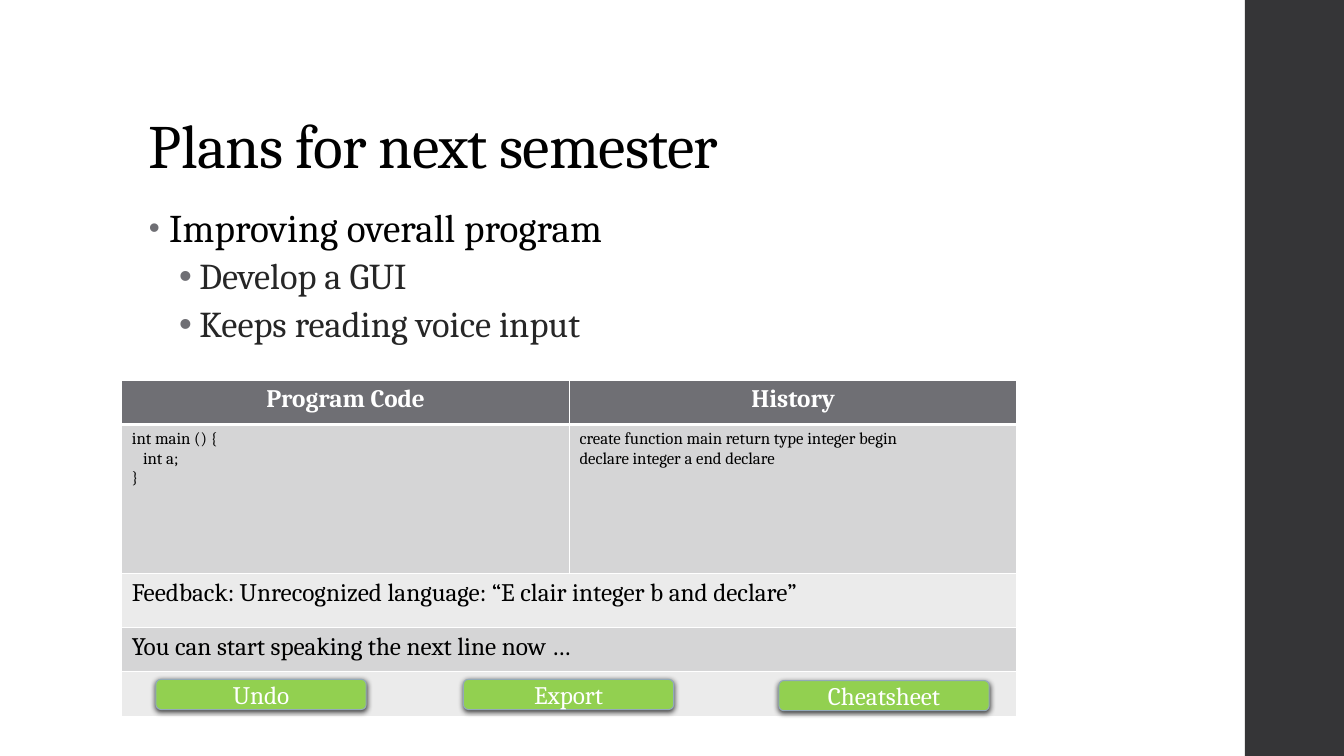
from lxml import etree
from pptx import Presentation
from pptx.dml.color import RGBColor
from pptx.enum.shapes import MSO_SHAPE
from pptx.enum.text import MSO_ANCHOR, MSO_AUTO_SIZE, PP_ALIGN
from pptx.oxml.ns import qn
from pptx.util import Cm, Pt

LEFT, CENTER = PP_ALIGN.LEFT, PP_ALIGN.CENTER
TOP, MIDDLE, BOTTOM = MSO_ANCHOR.TOP, MSO_ANCHOR.MIDDLE, MSO_ANCHOR.BOTTOM
NO_AUTOFIT = MSO_AUTO_SIZE.NONE
RECTANGLE, ROUNDED = MSO_SHAPE.RECTANGLE, MSO_SHAPE.ROUNDED_RECTANGLE

FONT = "Cambria"
COLORS = {
    "black": "000000", "white": "FFFFFF", "subtext": "262626",
    "sidebar": "353537", "header": "6F6F74", "dark_band": "D5D5D6",
    "light_band": "EBEBEB", "button": "92D050", "button_edge": "92A9B9",
}
GOALS = [
    ("Improving overall program", 0),
    ("Develop a GUI", 1),
    ("Keeps reading voice input", 1),
]
GOAL_FORMATS = [
    {"size": 28, "color": "black", "spacing": 10, "indent": 0.51, "bullet_size": 80,
     "paragraph": {"line_spacing": 0.95, "space_before": Pt(14), "space_after": Pt(2)}},
    {"size": 26, "color": "subtext", "spacing": 0, "indent": 1.27, "bullet_size": 100,
     "paragraph": {"line_spacing": 0.9, "space_before": Pt(3), "space_after": Pt(3)}},
]
HANGING = 0.51
CODE = [("int main () {", 0), ("int a;", 0.28), ("}", 0)]
HISTORY = [("create function main return type integer begin", 0),
           ("declare integer a end declare", 0)]
FEEDBACK = [("Feedback: Unrecognized language: “E clair integer b and declare”", 0)]
PROMPT = [("You can start speaking the next line now …", 0)]
GUI_ROWS = [
    (1.12, "header", [[("Program Code", 0)], [("History", 0)]],
     {"size": 18, "color": "white", "bold": True, "align": CENTER}),
    (3.75, "dark_band", [CODE, HISTORY], {"size": 12}),
    (1.36, "light_band", [FEEDBACK], {"size": 18}),
    (1.12, "dark_band", [PROMPT], {"size": 18}),
    (1.12, "light_band", [[]], {}),
]
BUTTONS = [("Undo", 0.86, 0), ("Export", 8.61, 0), ("Cheatsheet", 16.56, 0.03)]


def rgb(name):
    """Return the named colour."""
    return RGBColor.from_string(COLORS[name])


def place(shape, box):
    """Move a shape into a box given in centimetres."""
    for side, length in zip(("left", "top", "width", "height"), box):
        setattr(shape, side, Cm(length))


def write(paragraph, text, size, color="black", bold=False, align=LEFT, spacing=0):
    """Write one formatted run into a paragraph."""
    paragraph.alignment = align
    run = paragraph.add_run()
    run.text = text
    for key, value in {"name": FONT, "size": Pt(size), "bold": bold}.items():
        setattr(run.font, key, value)
    run.font.color.rgb = rgb(color)
    run._r.get_or_add_rPr().set("spc", str(spacing))


def add_child(parent, tag, **attributes):
    """Append a drawing element with attributes."""
    child = etree.SubElement(parent, qn(tag))
    for key, value in attributes.items():
        child.set(key, str(value))
    return child


def add_sidebar(slide, box):
    """Draw the dark band along the right edge."""
    sidebar = slide.shapes.add_shape(RECTANGLE, *map(Cm, box))
    sidebar.shadow.inherit = False
    sidebar.fill.solid()
    sidebar.fill.fore_color.rgb = rgb("sidebar")
    sidebar.line.fill.background()


def prepare(placeholder, box, anchor):
    """Place a text placeholder and return its frame."""
    place(placeholder, box)
    frame = placeholder.text_frame
    for key, value in {"auto_size": NO_AUTOFIT, "word_wrap": True,
                       "vertical_anchor": anchor}.items():
        setattr(frame, key, value)
    return frame


def add_heading(slide, box):
    """Fill the title placeholder."""
    heading = prepare(slide.shapes.title, box, BOTTOM).paragraphs[0]
    heading.line_spacing = 0.9
    write(heading, "Plans for next semester", 44, spacing=-50)


def add_goals(slide, box):
    """Fill the body placeholder with the two-level list."""
    frame = prepare(slide.placeholders[1], box, TOP)
    for index, (text, level) in enumerate(GOALS):
        goal = frame.add_paragraph() if index else frame.paragraphs[0]
        style = GOAL_FORMATS[level]
        goal.level = level
        for key, value in style["paragraph"].items():
            setattr(goal, key, value)
        write(goal, text, style["size"], style["color"], spacing=style["spacing"])
        properties = goal._p.get_or_add_pPr()
        properties.set("marL", str(Cm(style["indent"])))
        properties.set("indent", str(-Cm(HANGING)))
        bullet_color = add_child(properties, "a:buClr")
        add_child(bullet_color, "a:srgbClr", val=COLORS["header"])
        add_child(properties, "a:buSzPct", val=style["bullet_size"] * 1000)
        add_child(properties, "a:buFont", typeface="Arial")
        add_child(properties, "a:buChar", char="•")


def format_cell(cell, fill, top, bottom):
    """Give a cell white borders and a solid fill."""
    properties = cell._tc.get_or_add_tcPr()
    for tag, width in (("a:lnL", 1), ("a:lnR", 1), ("a:lnT", top), ("a:lnB", bottom)):
        border = add_child(properties, tag, w=Pt(width))
        add_child(add_child(border, "a:solidFill"), "a:srgbClr", val=COLORS["white"])
    cell.fill.solid()
    cell.fill.fore_color.rgb = rgb(fill)


def add_gui_table(slide, box):
    """Build the mock program window as a table."""
    table = slide.shapes.add_table(len(GUI_ROWS), 2, *map(Cm, box)).table
    for column in table.columns:
        column.width = Cm(box[2] / 2)
    for row, (height, fill, contents, style) in enumerate(GUI_ROWS):
        table.rows[row].height = Cm(height)
        for column in range(2):
            format_cell(table.cell(row, column), fill,
                        3 if row == 1 else 1, 3 if row == 0 else 1)
        if len(contents) == 1:
            table.cell(row, 0).merge(table.cell(row, 1))
        for column, lines in enumerate(contents):
            frame = table.cell(row, column).text_frame
            for index, (text, indent) in enumerate(lines):
                line = frame.add_paragraph() if index else frame.paragraphs[0]
                write(line, text, **style)
                line._p.get_or_add_pPr().set("marL", str(Cm(indent)))


def add_buttons(slide, box):
    """Place the green buttons in the bottom row of the window."""
    left, top, width, height = box
    for label, across, down in BUTTONS:
        button = slide.shapes.add_shape(
            ROUNDED, Cm(left + across), Cm(top + down), Cm(width), Cm(height))
        button.fill.solid()
        button.fill.fore_color.rgb = rgb("button")
        button.line.color.rgb = rgb("button_edge")
        button.line.width = Pt(0.75)
        button.shadow.inherit = False
        effects = button._element.spPr.find(qn("a:effectLst"))
        shadow = add_child(effects, "a:outerShdw", blurRad=Pt(4), dist=Pt(1.2),
                           dir=90 * 60000, algn="ctr", rotWithShape=0)
        shade = add_child(shadow, "a:srgbClr", val=COLORS["black"])
        add_child(shade, "a:alpha", val=75000)
        button.text_frame.vertical_anchor = MIDDLE
        write(button.text_frame.paragraphs[0], label, 18, "white", align=CENTER)


def main():
    """Build the slide and save it."""
    deck = Presentation()
    deck.slide_width, deck.slide_height = Cm(33.87), Cm(19.05)
    slide = deck.slides.add_slide(deck.slide_layouts[1])
    add_sidebar(slide, (31.37, 0, 2.5, 19.05))
    add_heading(slide, (3.5, 1.02, 26.92, 3.68))
    add_goals(slide, (3.5, 5.08, 23.88, 12.09))
    add_gui_table(slide, (3.07, 9.58, 22.56, 8.47))
    add_buttons(slide, (3.07, 17.12, 5.3, 0.76))
    deck.save("out.pptx")


if __name__ == "__main__":
    main()
